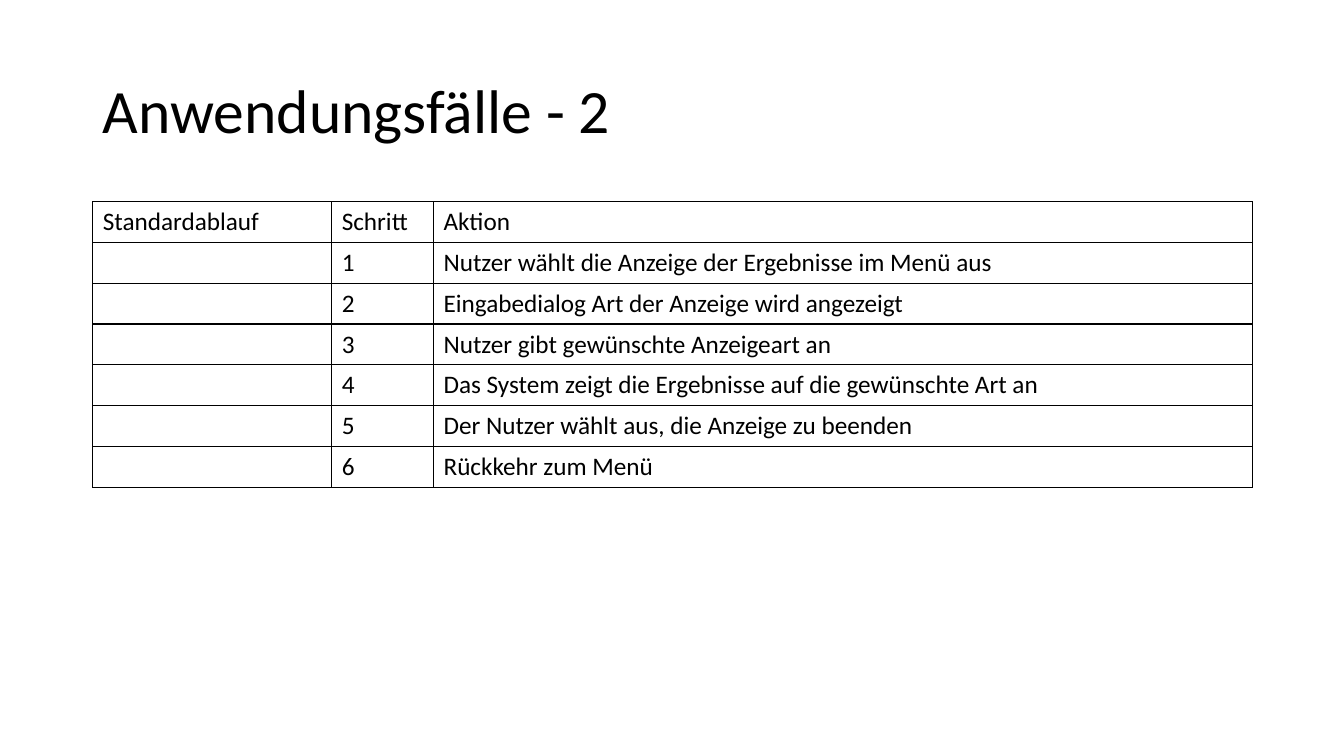
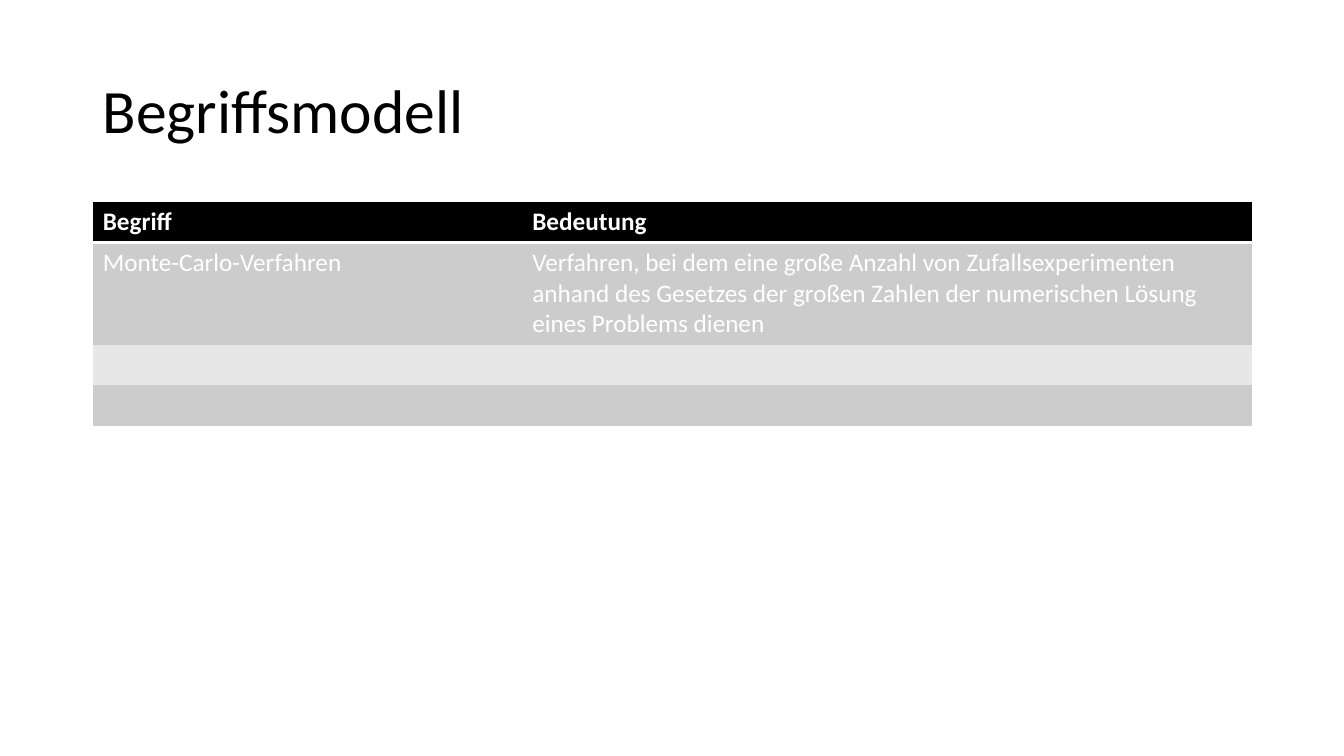
"""Build two slides with a use-case table and a glossary table."""
from dataclasses import dataclass

from lxml import etree
from pptx import Presentation
from pptx.dml.color import RGBColor
from pptx.enum.text import MSO_ANCHOR
from pptx.oxml.ns import qn
from pptx.util import Inches, Pt

MIDDLE = MSO_ANCHOR.MIDDLE
SIDES = ("L", "R", "T", "B")


@dataclass(frozen=True)
class Theme:
    """Colours, type sizes and the shared slide grid in inches."""
    font: str = "Calibri"
    title_size: int = 44
    body_size: int = 18
    black: str = "000000"
    white: str = "FFFFFF"
    band_dark: str = "CCCCCC"
    band_light: str = "E7E7E7"
    width: float = 13.33
    height: float = 7.5
    left: float = 0.92
    content_width: float = 11.5
    title_top: float = 0.4
    title_height: float = 1.45
    table_top: float = 2
    cell_padding: float = 0.1
    line_height: float = 0.305


T = Theme()


def style_paragraph(p, size, color, bold=False):
    """Set the font of a whole paragraph."""
    p.font.name = T.font
    p.font.size = Pt(size)
    p.font.bold = bold
    p.font.color.rgb = RGBColor.from_string(color)


def add_title_slide(prs, title):
    """Add a blank-layout slide with the shared title style."""
    s = prs.slides.add_slide(prs.slide_layouts[6])
    sp = s.shapes.add_textbox(Inches(T.left), Inches(T.title_top),
                              Inches(T.content_width), Inches(T.title_height))
    tf = sp.text_frame
    tf.word_wrap = True
    tf.vertical_anchor = MIDDLE
    p = tf.paragraphs[0]
    p.text = title
    p.line_spacing = 0.9
    style_paragraph(p, T.title_size, T.black)
    return s


def set_borders(cell, borders):
    """Draw the given sides as (colour, points) and clear the others."""
    tc_pr = cell._tc.get_or_add_tcPr()
    for side in SIDES:
        ln = etree.SubElement(tc_pr, qn(f"a:ln{side}"))
        if side in borders:
            color, points = borders[side]
            ln.set("w", str(Pt(points)))
            fill = etree.SubElement(ln, qn("a:solidFill"))
            etree.SubElement(fill, qn("a:srgbClr"), val=color)
        else:
            etree.SubElement(ln, qn("a:noFill"))


def style_cell(cell, text, color, bold, fill, borders):
    """Fill one cell with text, borders and background."""
    p = cell.text_frame.paragraphs[0]
    p.text = text
    style_paragraph(p, T.body_size, color, bold)
    set_borders(cell, borders)
    if fill:
        cell.fill.solid()
        cell.fill.fore_color.rgb = RGBColor.from_string(fill)
    else:
        cell.fill.background()


def add_grid(s, rows, col_widths, line_counts, row_style):
    """Add a table whose row heights follow their number of text lines."""
    heights = [T.cell_padding + T.line_height * n for n in line_counts]
    sp = s.shapes.add_table(len(rows), len(col_widths), Inches(T.left),
                            Inches(T.table_top), Inches(T.content_width),
                            Inches(sum(heights)))
    table = sp.table
    table.first_row = table.horz_banding = False
    for col, width in zip(table.columns, col_widths):
        col.width = Inches(width)
    for i, (row, height) in enumerate(zip(rows, heights)):
        table.rows[i].height = Inches(height)
        for j, text in enumerate(row):
            style_cell(table.cell(i, j), text, **row_style(i))


def ruled_row(i):
    """Style any row as black text in a thin black grid."""
    return dict(color=T.black, bold=False, fill=None,
                borders=dict.fromkeys(SIDES, (T.black, 1)))


def banded_row(i):
    """Style a black header row and alternating grey body rows."""
    rule = (T.white, 2)
    if i == 0:
        return dict(color=T.white, bold=True, fill=T.black, borders={"B": rule})
    return dict(color=T.white, bold=False,
                fill=T.band_dark if i % 2 else T.band_light,
                borders={"T": rule} if i == 1 else {})


def add_use_case_slide(prs):
    """Add the numbered steps of the standard flow."""
    actions = [
        "Nutzer wählt die Anzeige der Ergebnisse im Menü aus",
        "Eingabedialog Art der Anzeige wird angezeigt",
        "Nutzer gibt gewünschte Anzeigeart an",
        "Das System zeigt die Ergebnisse auf die gewünschte Art an",
        "Der Nutzer wählt aus, die Anzeige zu beenden",
        "Rückkehr zum Menü",
    ]
    rows = [("Standardablauf", "Schritt", "Aktion")]
    rows += [("", str(n), action) for n, action in enumerate(actions, 1)]
    s = add_title_slide(prs, "Anwendungsfälle - 2")
    add_grid(s, rows, (2.37, 1.01, 8.12), [1] * len(rows), ruled_row)


def add_glossary_slide(prs):
    """Add the table of terms and meanings."""
    rows = [
        ("Begriff", "Bedeutung"),
        ("Monte-Carlo-Verfahren",
         "Verfahren, bei dem eine große Anzahl von Zufallsexperimenten "
         "anhand des Gesetzes der großen Zahlen der numerischen Lösung "
         "eines Problems dienen"),
        ("", ""),
        ("", ""),
    ]
    s = add_title_slide(prs, "Begriffsmodell")
    add_grid(s, rows, (4.26, 7.24), (1, 3, 1, 1), banded_row)


def main():
    """Build and save the presentation."""
    prs = Presentation()
    prs.slide_width = Inches(T.width)
    prs.slide_height = Inches(T.height)
    add_use_case_slide(prs)
    add_glossary_slide(prs)
    prs.save("out.pptx")


if __name__ == "__main__":
    main()
